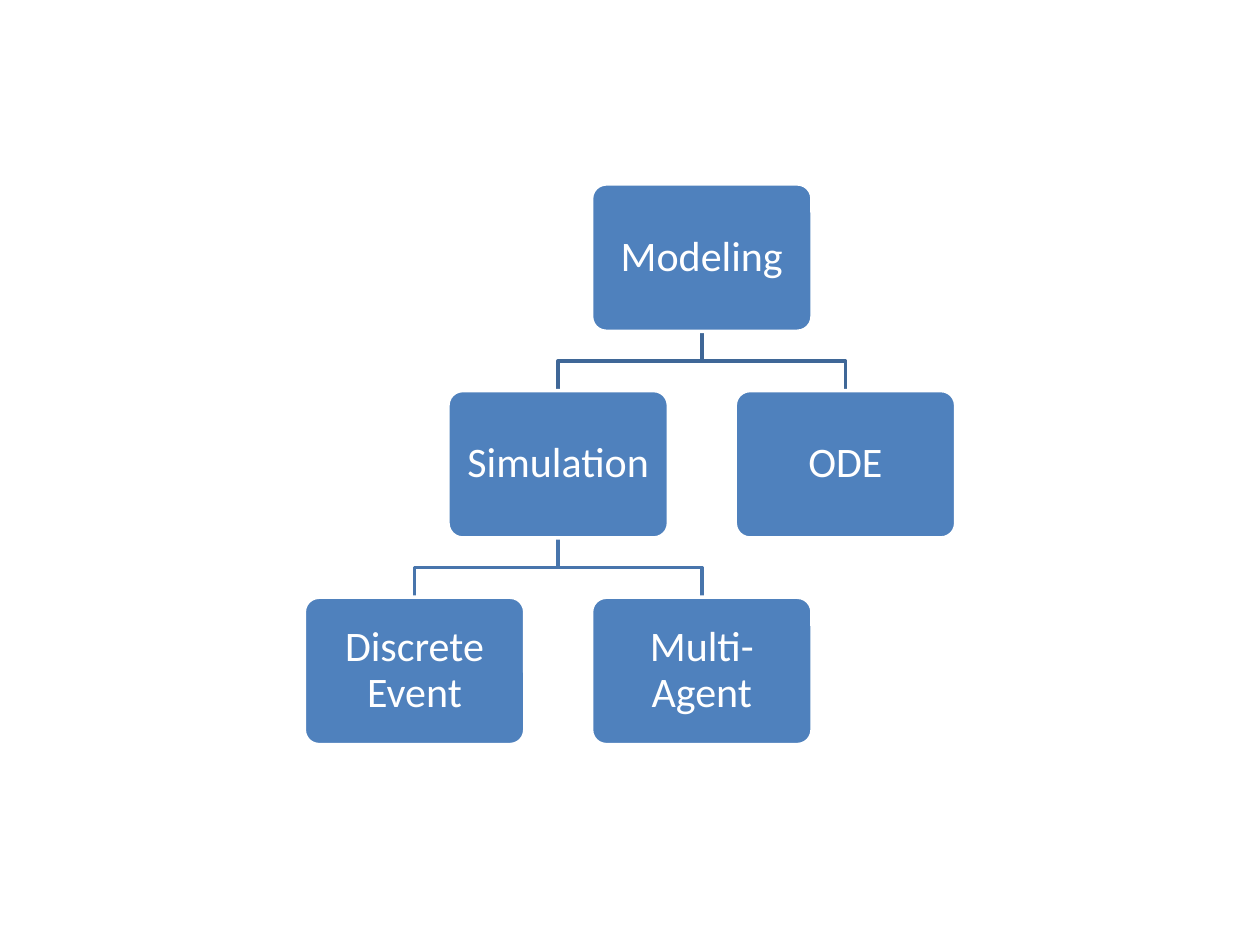
from dataclasses import dataclass
from typing import Optional

from pptx import Presentation
from pptx.dml.color import RGBColor
from pptx.enum.shapes import MSO_SHAPE
from pptx.enum.text import MSO_ANCHOR, PP_ALIGN
from pptx.util import Inches, Pt

COLORS = {"box": "4F81BD", "white": "FFFFFF", "upper": "3F6797", "lower": "4875AC"}
FONT = "Calibri"
BOX_W, BOX_H = 1.75, 1.17
FIRST_CENTER, COL_STEP = 3.29, 1.14
TOP, ROW_GAP = 1.46, 0.47


@dataclass
class Node:
    text: str
    col: int
    row: int
    parent: Optional["Node"] = None

    @property
    def center(self) -> float:
        return FIRST_CENTER + self.col * COL_STEP

    @property
    def top(self) -> float:
        return TOP + self.row * (BOX_H + ROW_GAP)


def rgb(name: str) -> RGBColor:
    return RGBColor.from_string(COLORS[name])


def draw_link(shapes, child: Node) -> None:
    parent = child.parent
    start = parent.top + BOX_H
    middle = start + ROW_GAP / 2
    points = [(parent.center, middle), (child.center, middle), (child.center, child.top)]
    builder = shapes.build_freeform(Inches(parent.center), Inches(start))
    builder.add_line_segments([(Inches(x), Inches(y)) for x, y in points], close=False)
    s = builder.convert_to_shape()
    s.shadow.inherit = False
    s.fill.background()
    s.line.color.rgb = rgb("upper" if parent.row == 0 else "lower")
    s.line.width = Pt(2)


def draw_box(shapes, node: Node) -> None:
    s = shapes.add_shape(
        MSO_SHAPE.ROUNDED_RECTANGLE,
        Inches(node.center - BOX_W / 2), Inches(node.top), Inches(BOX_W), Inches(BOX_H),
    )
    s.adjustments[0] = 0.1
    s.shadow.inherit = False
    s.fill.solid()
    s.fill.fore_color.rgb = rgb("box")
    s.line.color.rgb = rgb("white")
    s.line.width = Pt(2)
    tf = s.text_frame
    tf.word_wrap = True
    tf.vertical_anchor = MSO_ANCHOR.MIDDLE
    tf.margin_left = tf.margin_right = tf.margin_top = tf.margin_bottom = Inches(0.1)
    p = tf.paragraphs[0]
    p.text = node.text
    p.alignment = PP_ALIGN.CENTER
    p.line_spacing = 0.9
    p.font.name = FONT
    p.font.size = Pt(24)
    p.font.color.rgb = rgb("white")


modeling = Node("Modeling", 2, 0)
simulation = Node("Simulation", 1, 1, modeling)
nodes = [
    modeling,
    simulation,
    Node("Discrete Event", 0, 2, simulation),
    Node("Multi-Agent", 2, 2, simulation),
    Node("ODE", 3, 1, modeling),
]

prs = Presentation()
prs.slide_width, prs.slide_height = Inches(10), Inches(7.5)
slide = prs.slides.add_slide(prs.slide_layouts[6])
for node in nodes:
    if node.parent:
        draw_link(slide.shapes, node)
for node in nodes:
    draw_box(slide.shapes, node)
prs.save("out.pptx")
